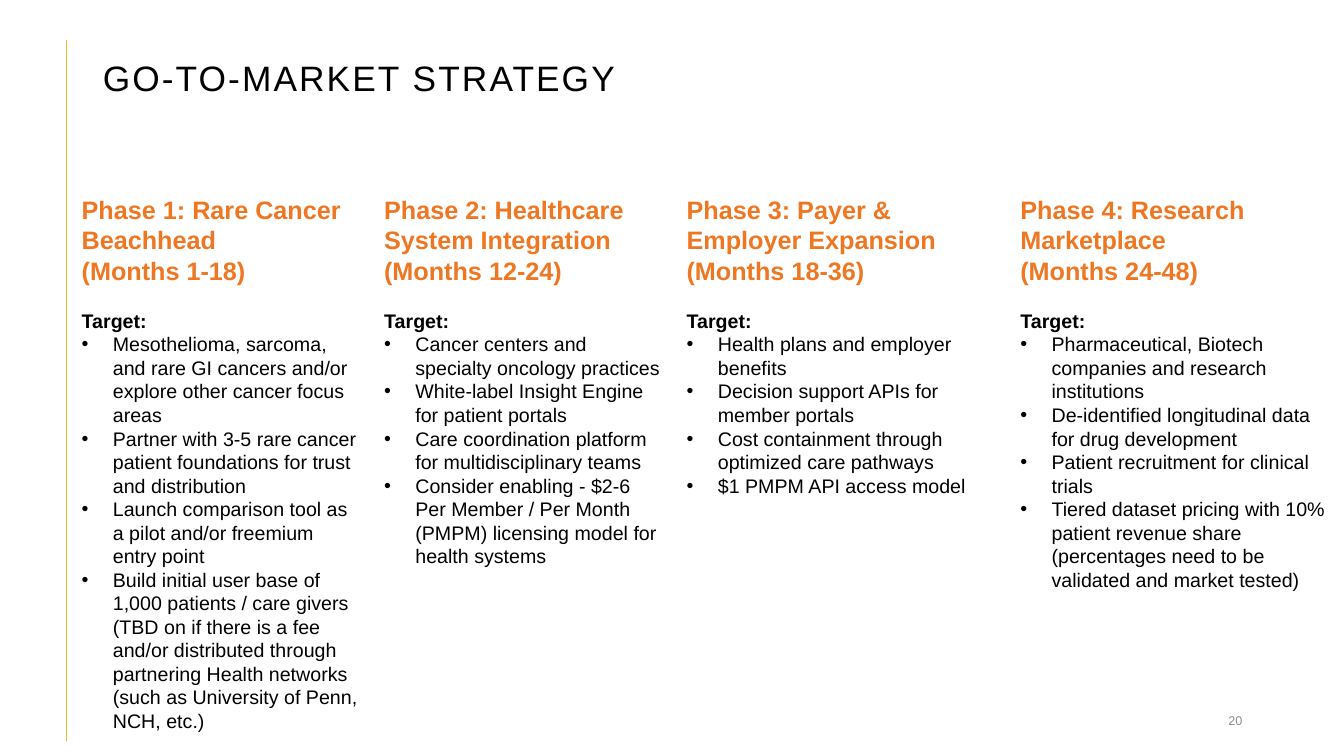
from lxml import etree
from pptx import Presentation
from pptx.dml.color import RGBColor
from pptx.enum.shapes import MSO_CONNECTOR
from pptx.enum.text import MSO_ANCHOR, MSO_AUTO_SIZE, PP_ALIGN
from pptx.oxml.ns import qn
from pptx.util import Inches, Pt

STRAIGHT = MSO_CONNECTOR.STRAIGHT
TOP, MIDDLE, BOTTOM = MSO_ANCHOR.TOP, MSO_ANCHOR.MIDDLE, MSO_ANCHOR.BOTTOM
LEFT, RIGHT = PP_ALIGN.LEFT, PP_ALIGN.RIGHT
FIXED = MSO_AUTO_SIZE.NONE

THEME = {
    "font": "Arial",
    "ink": RGBColor.from_string("000000"),
    "grey": RGBColor.from_string("8C8C8C"),
    "paper": RGBColor.from_string("FFFFFF"),
    "orange": RGBColor.from_string("EE7723"),
    "gold": RGBColor.from_string("F4B824"),
    "title": Pt(25.2), "head": Pt(18), "body": Pt(14), "note": Pt(9),
}

# Left, width, height, white fill, heading lines, bullet points
PHASES = [
    (0.71, 2.96, 5.49, False,
     ["Phase 1: Rare Cancer Beachhead", "(Months 1-18)"],
     ["Mesothelioma, sarcoma, and rare GI cancers and/or explore other cancer focus areas",
      "Partner with 3-5 rare cancer patient foundations for trust and distribution",
      "Launch comparison tool as a pilot and/or freemium entry point",
      "Build initial user base of 1,000 patients / care givers (TBD on if there is a fee "
      "and/or distributed through partnering Health networks "
      "(such as University of Penn, NCH, etc.)"]),
    (3.71, 2.96, 3.84, False,
     ["Phase 2: Healthcare System Integration (Months 12-24)"],
     ["Cancer centers and specialty oncology practices",
      "White-label Insight Engine for patient portals",
      "Care coordination platform for multidisciplinary teams",
      "Consider enabling - $2-6 Per Member / Per Month (PMPM) licensing model "
      "for health systems"]),
    (6.71, 3.3, 3.13, True,
     ["Phase 3: Payer & Employer Expansion", "(Months 18-36)"],
     ["Health plans and employer benefits",
      "Decision support APIs for member portals",
      "Cost containment through optimized care pathways",
      "$1 PMPM API access model"]),
    (10.02, 3.3, 4.07, True,
     ["Phase 4: Research Marketplace", "(Months 24-48)"],
     ["Pharmaceutical, Biotech companies and research institutions",
      "De-identified longitudinal data for drug development",
      "Patient recruitment for clinical trials",
      "Tiered dataset pricing with 10% patient revenue share "
      "(percentages need to be validated and market tested)"]),
]


def set_frame(shape, box, anchor):
    """Place a shape and prepare its text frame."""
    for name, size in zip(("left", "top", "width", "height"), box):
        setattr(shape, name, Inches(size))
    frame = shape.text_frame
    format = {"word_wrap": True, "auto_size": FIXED, "vertical_anchor": anchor,
              "margin_left": Inches(0.1), "margin_right": Inches(0.1),
              "margin_top": Inches(0.05), "margin_bottom": Inches(0.05)}
    for name, value in format.items():
        setattr(frame, name, value)
    return frame


def add_line(para, text, size, color=THEME["ink"], bold=False, bullet=False,
             align=LEFT, spacing=1.0, before=0):
    """Fill one paragraph with a single formatted run."""
    props = para._p.get_or_add_pPr()
    indent = Inches(0.31) if bullet else 0
    props.set("marL", str(indent))
    props.set("indent", str(-indent))
    if bullet:
        etree.SubElement(props, qn("a:buFont")).set("typeface", "Arial")
        etree.SubElement(props, qn("a:buChar")).set("char", "•")
    else:
        etree.SubElement(props, qn("a:buNone"))
    format = {"alignment": align, "line_spacing": spacing,
              "space_before": Pt(before), "space_after": Pt(0)}
    for name, value in format.items():
        setattr(para, name, value)
    run = para.add_run()
    run.text = text
    for name, value in {"name": THEME["font"], "size": size, "bold": bold}.items():
        setattr(run.font, name, value)
    run.font.color.rgb = color
    return run


# Slide
deck = Presentation()
deck.slide_width, deck.slide_height = Inches(13.33), Inches(7.5)
slide = deck.slides.add_slide(deck.slide_layouts.get_by_name("Comparison"))
title, *bodies = slide.placeholders

# Rule at the left
rule = slide.shapes.add_connector(STRAIGHT, Inches(0.66), Inches(0.4),
                                  Inches(0.66), Inches(7.35))
rule.line.color.rgb = THEME["gold"]
rule.line.width = Pt(1.25)
etree.SubElement(rule._element.spPr, qn("a:effectLst"))

# Title
frame = set_frame(title, (0.92, 0.54, 6.18, 0.49), BOTTOM)
run = add_line(frame.paragraphs[0], "GO-TO-MARKET STRATEGY", THEME["title"], spacing=0.9)
run.font._element.set("spc", "150")

# Page number
page = slide.shapes.add_textbox(0, 0, 0, 0)
frame = set_frame(page, (9.42, 6.95, 3, 0.4), MIDDLE)
add_line(frame.paragraphs[0], "20", THEME["note"], THEME["grey"], align=RIGHT)

# Phase columns
head_gap, body_gap = (Pt(1.2 * THEME[key].pt) for key in ("head", "body"))
for body, (left, width, height, filled, heads, points) in zip(bodies, PHASES):
    frame = set_frame(body, (left, 1.88, width, height), TOP)
    if filled:
        body.fill.solid()
        body.fill.fore_color.rgb = THEME["paper"]
    for i, head in enumerate(heads):
        para = frame.add_paragraph() if i else frame.paragraphs[0]
        run = add_line(para, head, THEME["head"], bold=True, spacing=head_gap)
        fill = run.font.fill
        fill.gradient()
        fill.gradient_angle = 270
        for stop, color in zip(fill.gradient_stops, ("orange", "gold")):
            stop.color.rgb = THEME[color]
    add_line(frame.add_paragraph(), "Target:", THEME["body"], bold=True,
             spacing=body_gap, before=body_gap.pt)
    for point in points:
        add_line(frame.add_paragraph(), point, THEME["body"], bullet=True,
                 spacing=body_gap)

deck.save("out.pptx")
